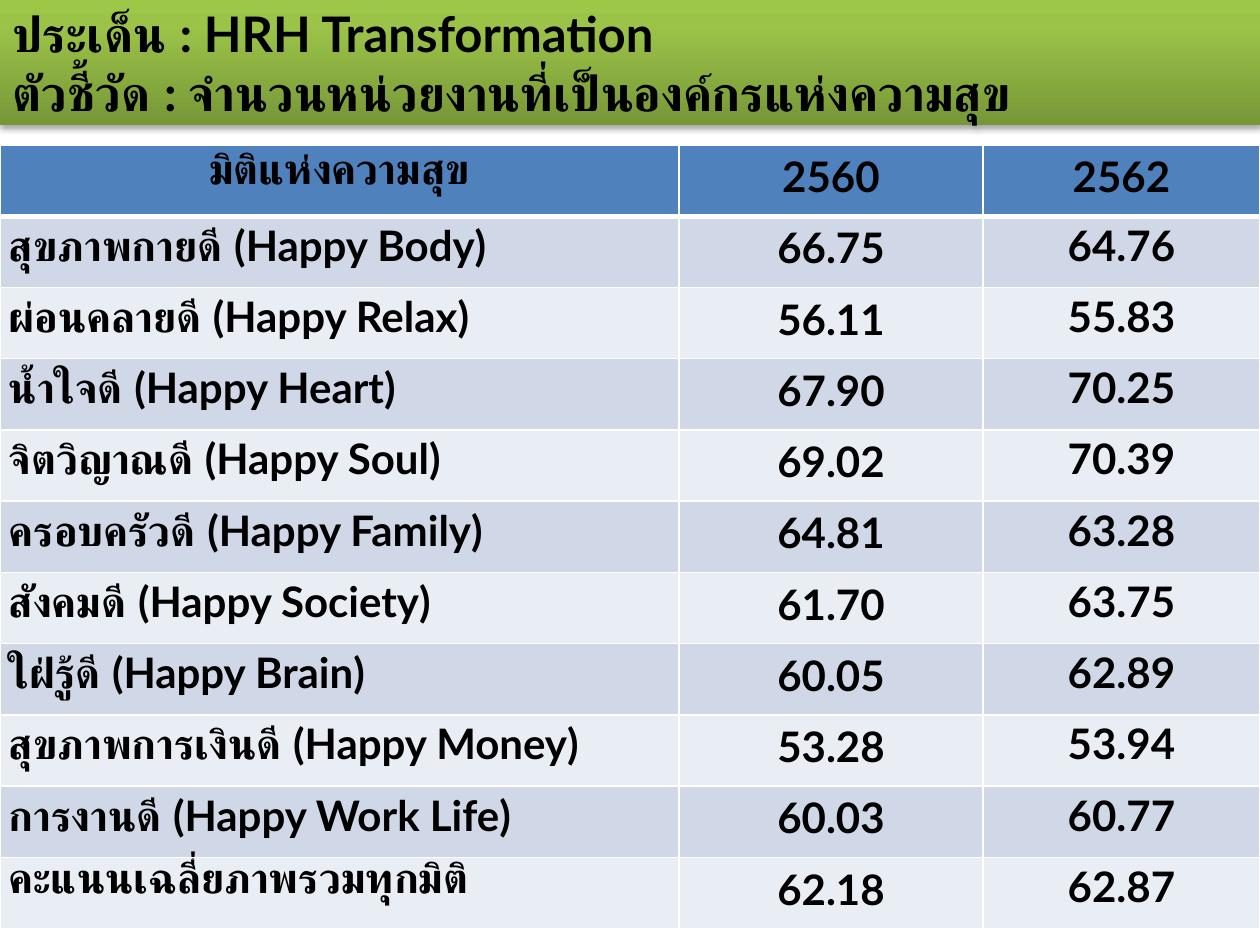
from copy import deepcopy
from dataclasses import dataclass

from lxml.etree import SubElement
from pptx import Presentation
from pptx.dml.color import RGBColor
from pptx.enum.text import MSO_ANCHOR, MSO_AUTO_SIZE, PP_ALIGN
from pptx.oxml.ns import qn
from pptx.util import Emu, Pt

EMU_PER_PX = 914400 / 126


@dataclass(frozen=True)
class Theme:
    font: str = "Lato"
    text: str = "000000"
    title_size: int = 28
    table_size: int = 24
    header: str = "4F81BD"
    bands: tuple = ("D0D8E8", "E9EDF4")
    border: str = "FFFFFF"
    thin: int = 1
    thick: int = 3
    gradient: tuple = ((0, "779737"), (0.8, "9BC348"), (1, "9DC746"))
    shadow: str = "000000"


THEME = Theme()

TITLE_LINES = (
    "ประเด็น : HRH Transformation",
    "ตัวชี้วัด : จำนวนหน่วยงานที่เป็นองค์กรแห่งความสุข",
)
COLUMN_WIDTHS = (679, 304, 277)
SCORES = (
    ("มิติแห่งความสุข", "2560", "2562"),
    ("สุขภาพกายดี (Happy Body)", "66.75", "64.76"),
    ("ผ่อนคลายดี (Happy Relax)", "56.11", "55.83"),
    ("น้ำใจดี (Happy Heart)", "67.90", "70.25"),
    ("จิตวิญาณดี (Happy Soul)", "69.02", "70.39"),
    ("ครอบครัวดี (Happy Family)", "64.81", "63.28"),
    ("สังคมดี (Happy Society)", "61.70", "63.75"),
    ("ใฝ่รู้ดี (Happy Brain)", "60.05", "62.89"),
    ("สุขภาพการเงินดี (Happy Money)", "53.28", "53.94"),
    ("การงานดี (Happy Work Life)", "60.03", "60.77"),
    ("คะแนนเฉลี่ยภาพรวมทุกมิติ", "62.18", "62.87"),
)


def px(length):
    return Emu(round(length * EMU_PER_PX))


def style_paragraph(paragraph, size, align):
    paragraph.alignment = align
    font = paragraph.font
    font.name = THEME.font
    font.size = Pt(size)
    font.bold = True
    font.color.rgb = RGBColor.from_string(THEME.text)


def fill_gradient(shape):
    shape.fill.gradient()
    shape.fill.gradient_angle = 90
    stop_list = shape.element.spPr.find(".//" + qn("a:gsLst"))
    stop_list.append(deepcopy(stop_list[-1]))
    for stop, (position, color) in zip(shape.fill.gradient_stops, THEME.gradient):
        stop.position = position
        stop.color.rgb = RGBColor.from_string(color)


def add_shadow(shape):
    effects = SubElement(shape.element.spPr, qn("a:effectLst"))
    shadow = SubElement(effects, qn("a:outerShdw"), blurRad="40000", dist="23000",
                        dir="5400000", rotWithShape="0")
    color = SubElement(shadow, qn("a:srgbClr"), val=THEME.shadow)
    SubElement(color, qn("a:alpha"), val="35000")


def format_title(title):
    title.left, title.top, title.width, title.height = px(0), px(0), px(1260), px(125)
    fill_gradient(title)
    add_shadow(title)
    frame = title.text_frame
    frame.text = "\n".join(TITLE_LINES)
    frame.word_wrap = True
    frame.auto_size = MSO_AUTO_SIZE.NONE
    frame.vertical_anchor = MSO_ANCHOR.MIDDLE
    for paragraph in frame.paragraphs:
        style_paragraph(paragraph, THEME.title_size, PP_ALIGN.LEFT)


def set_borders(cell, top, bottom):
    properties = cell._tc.get_or_add_tcPr()
    widths = {"lnL": THEME.thin, "lnR": THEME.thin, "lnT": top, "lnB": bottom}
    for index, (side, width) in enumerate(widths.items()):
        line = SubElement(properties, qn(f"a:{side}"), w=str(Pt(width)))
        fill = SubElement(line, qn("a:solidFill"))
        SubElement(fill, qn("a:srgbClr"), val=THEME.border)
        properties.insert(index, line)


def format_cell(cell, text, row, column):
    is_header = row == 0
    color = THEME.header if is_header else THEME.bands[(row - 1) % 2]
    cell.fill.solid()
    cell.fill.fore_color.rgb = RGBColor.from_string(color)
    set_borders(cell, THEME.thick if row == 1 else THEME.thin,
                THEME.thick if is_header else THEME.thin)
    cell.text = text
    paragraph = cell.text_frame.paragraphs[0]
    is_label = column == 0 and not is_header
    style_paragraph(paragraph, THEME.table_size,
                    PP_ALIGN.LEFT if is_label else PP_ALIGN.CENTER)
    if not is_header and column != 1:
        cell.margin_left = cell.margin_right = px(9)
        cell.margin_top = cell.margin_bottom = px(0)
        paragraph.line_spacing = 1.07


def add_score_table(slide):
    height = px(784)
    table = slide.shapes.add_table(len(SCORES), len(COLUMN_WIDTHS), px(0), px(145),
                                   px(sum(COLUMN_WIDTHS)), height).table
    for column, width in zip(table.columns, COLUMN_WIDTHS):
        column.width = px(width)
    for row in table.rows:
        row.height = height // len(SCORES)
    for row, texts in enumerate(SCORES):
        for column, text in enumerate(texts):
            format_cell(table.cell(row, column), text, row, column)


def main():
    presentation = Presentation()
    presentation.slide_width, presentation.slide_height = px(1260), px(945)
    slide = presentation.slides.add_slide(presentation.slide_layouts[5])
    format_title(slide.shapes.title)
    add_score_table(slide)
    presentation.save("out.pptx")


if __name__ == "__main__":
    main()
